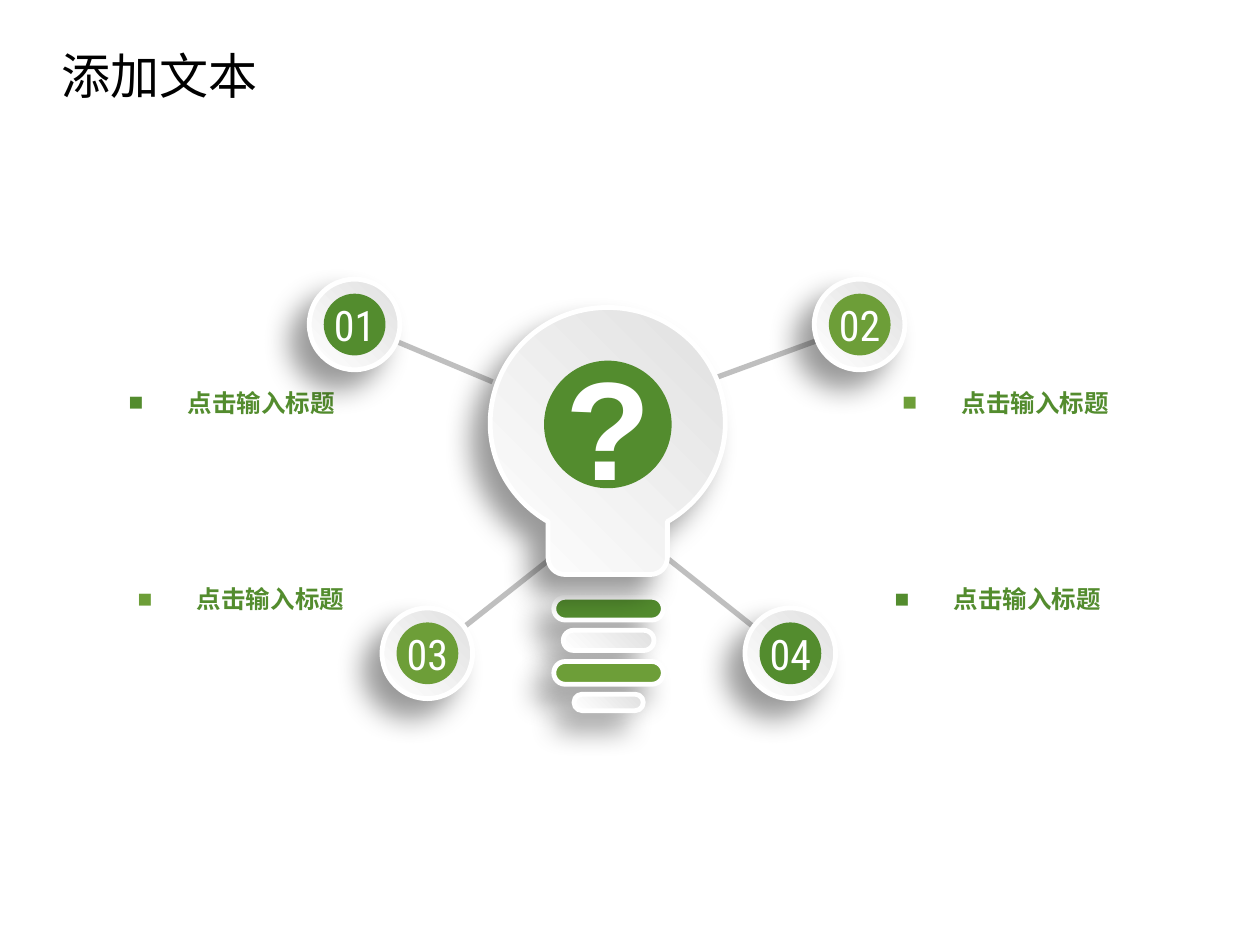
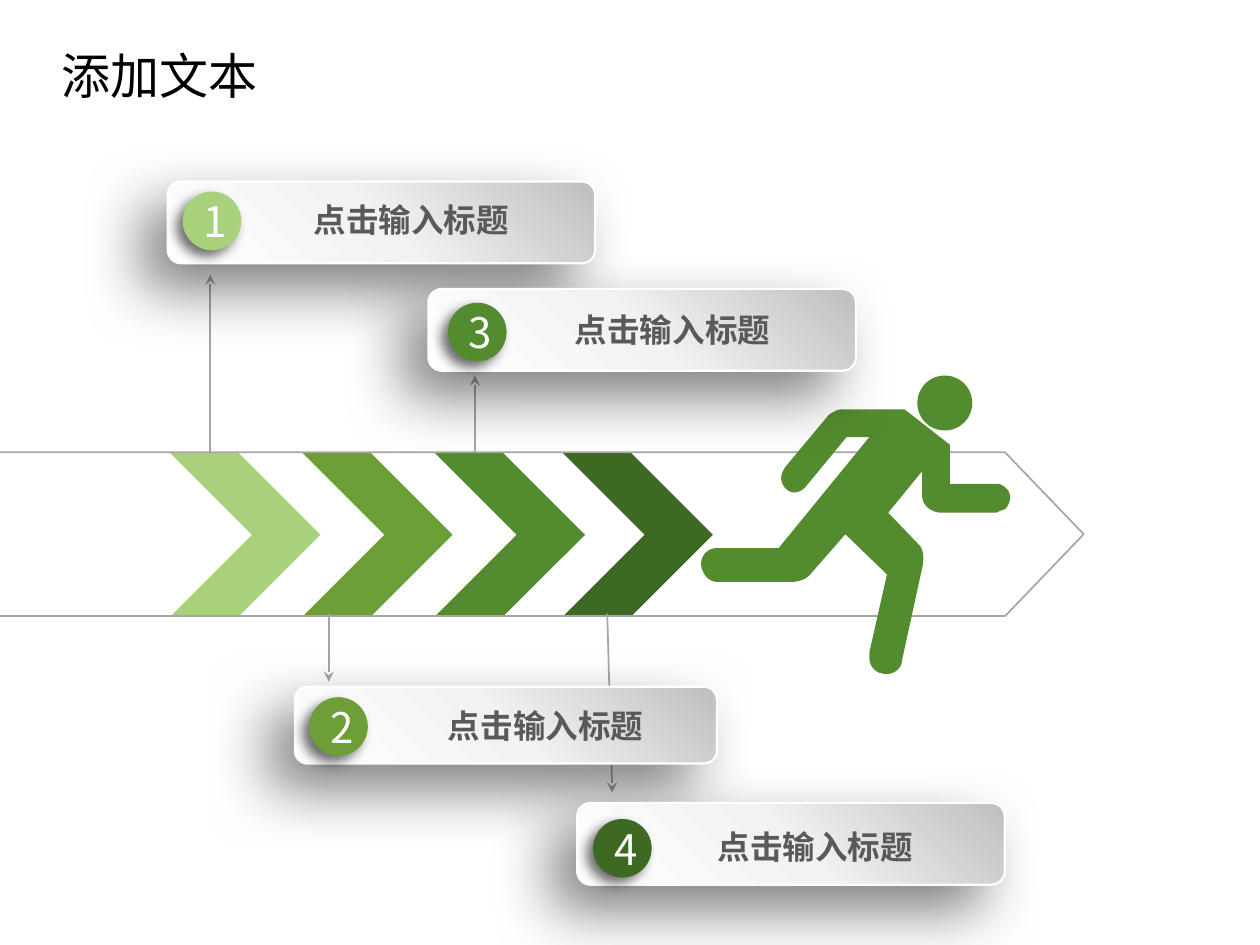
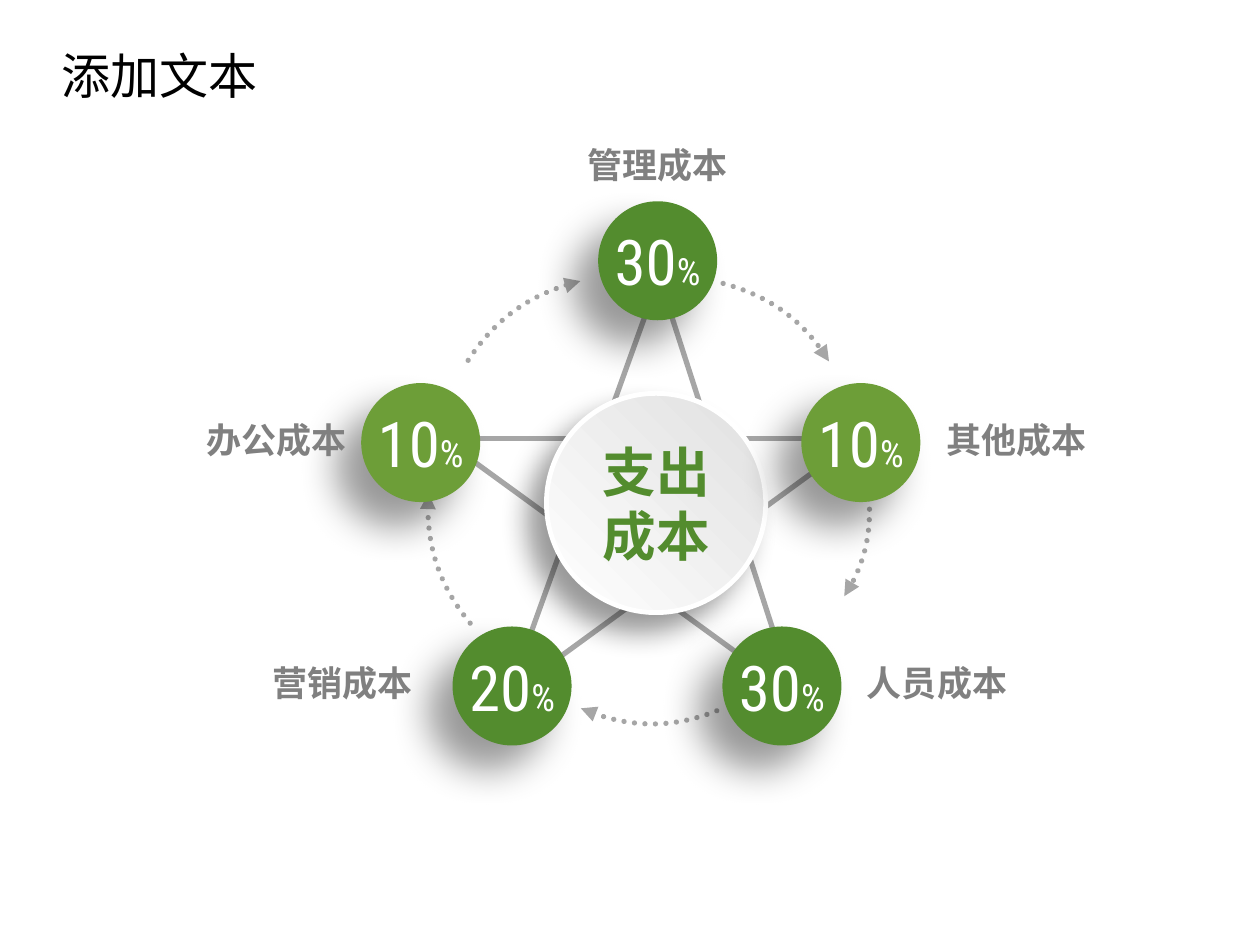
from copy import deepcopy
from math import cos, radians, sin

from lxml.etree import SubElement
from pptx import Presentation
from pptx.dml.color import RGBColor as RGB
from pptx.enum.dml import MSO_LINE as Dash
from pptx.enum.shapes import MSO_CONNECTOR as Link, MSO_SHAPE as Kind
from pptx.enum.text import MSO_ANCHOR as Anchor, PP_ALIGN as Align
from pptx.oxml.ns import qn
from pptx.util import Pt

# Shared colours and fonts
BLACK, WHITE = RGB(0, 0, 0), RGB(255, 255, 255)
PALE, LIGHT = RGB(0xA8, 0xD1, 0x7C), RGB(0x6D, 0x9E, 0x38)
GREEN, DARK = RGB(0x53, 0x8C, 0x2E), RGB(0x3E, 0x69, 0x23)
INK, GRAY = RGB(0x59, 0x59, 0x59), RGB(0x80, 0x80, 0x80)
MID, SOFT = RGB(0xA6, 0xA6, 0xA6), RGB(0xBF, 0xBF, 0xBF)
MIST, FOG = RGB(0xF2, 0xF2, 0xF2), RGB(0xE0, 0xE0, 0xE0)
SANS, ARIAL, SLIM = "Noto Sans CJK SC", "Arial", "Roboto Condensed"

# Shared effects: gradient (angle, stops); shadow (opacity, blur, distance)
PEARL = (225, [(0, FOG), (1, WHITE)])
STEEL = (45, [(0, WHITE), (0.5, MIST), (1, SOFT)])
DEEP, WIDE, NEAR, FAR = (40, 16, 14), (50, 35, 20), (57, 7, 5), (40, 22, 20)
CAPTION = "点击输入标题"


def text(shape, words, size=14, font=SANS, color=BLACK, bold=False,
         align=Align.LEFT, anchor=Anchor.TOP, pad=(7.2, 3.6), wrap=True,
         lead=None, unit=None, bullet=None):
    """Set the words; unit is a (text, size) run that ends each paragraph."""
    frame = shape.text_frame
    frame.word_wrap = wrap
    frame.vertical_anchor = anchor
    frame.margin_left = frame.margin_right = Pt(pad[0])
    frame.margin_top = frame.margin_bottom = Pt(pad[1])
    for i, part in enumerate(words.split("\n")):
        para = frame.add_paragraph() if i else frame.paragraphs[0]
        para.alignment = align
        if lead:
            para.line_spacing = lead
        for word, pts in [(part, size)] + ([unit] if unit else []):
            run = para.add_run()
            run.text = word
            face = run.font
            face.size, face.bold, face.name = Pt(pts), bold, font
            face.color.rgb = color
            SubElement(run._r.get_or_add_rPr(), qn("a:ea"), typeface=SANS)
        if bullet:
            props = para._p.get_or_add_pPr()
            props.set("marL", str(Pt(33.8)))
            props.set("indent", str(Pt(-33.8)))
            tint = SubElement(props, qn("a:buClr"))
            SubElement(tint, qn("a:srgbClr"), val=str(bullet))
            SubElement(props, qn("a:buFont"), typeface=ARIAL)
            SubElement(props, qn("a:buChar"), char="■")
    return shape


def style(shape, fill=None, line=None, width=1, shade=None):
    """Fill with a colour or gradient, then set the outline and shadow."""
    if fill is None:
        shape.fill.background()
    elif isinstance(fill, RGB):
        shape.fill.solid()
        shape.fill.fore_color.rgb = fill
    else:
        angle, stops = fill
        shape.fill.gradient()
        shape.fill.gradient_angle = angle
        ramp = shape.element.spPr.find(".//" + qn("a:gsLst"))
        while len(ramp) < len(stops):
            ramp.append(deepcopy(ramp[0]))
        for stop, (place, color) in zip(shape.fill.gradient_stops, stops):
            stop.position, stop.color.rgb = place, color
    if line is None:
        shape.line.fill.background()
    else:
        shape.line.color.rgb, shape.line.width = line, Pt(width)
    shape.shadow.inherit = False
    if shade:
        alpha, blur, dist = shade
        effects = shape.element.spPr.find(qn("a:effectLst"))
        cast = SubElement(effects, qn("a:outerShdw"), blurRad=str(Pt(blur)),
                          dist=str(Pt(dist)), dir=str(135 * 60000),
                          algn="tr", rotWithShape="0")
        color = SubElement(cast, qn("a:srgbClr"), val="000000")
        SubElement(color, qn("a:alpha"), val=str(alpha * 1000))
    return shape


def form(slide, kind, x, y, w, h, adj=None, **look):
    shape = slide.shapes.add_shape(kind, Pt(x), Pt(y), Pt(w), Pt(h))
    if adj is not None:
        shape.adjustments[0] = adj
    return style(shape, **look)


def disc(slide, x, y, size, fill, **look):
    return form(slide, Kind.OVAL, x, y, size, size, fill=fill, **look)


def note(slide, x, y, w, h, words, **look):
    return text(slide.shapes.add_textbox(Pt(x), Pt(y), Pt(w), Pt(h)),
                words, **look)


def line(slide, start, end, color, width, head=None):
    ends = [Pt(v) for v in (*start, *end)]
    link = slide.shapes.add_connector(Link.STRAIGHT, *ends)
    link.line.color.rgb, link.line.width = color, Pt(width)
    props = link.element.spPr
    if head:
        SubElement(props.find(qn("a:ln")), qn("a:headEnd"), type=head)
    SubElement(props, qn("a:effectLst"))


def pairs(part):
    return list(zip(part[::2], part[1::2]))


def free(slide, x, y, route, **look):
    """Draw a closed outline of points and (control, control, end) curves."""
    first, *rest = [(Pt(x + p[-2]), Pt(y + p[-1])) for p in route]
    pen = slide.shapes.build_freeform(*first)
    pen.add_line_segments(rest, close=True)
    shape = pen.convert_to_shape()
    trail = shape.element.spPr.find(".//" + qn("a:path"))
    for node, part in zip(list(trail)[1:], route[1:]):
        if len(part) == 6:
            bend = SubElement(trail, qn("a:cubicBezTo"))
            for a, b in pairs(part):
                SubElement(bend, qn("a:pt"), x=str(Pt(x + a) - shape.left),
                           y=str(Pt(y + b) - shape.top))
            trail.replace(node, bend)
    return style(shape, **look)


def begin(deck):
    """Add a slide with the shared title."""
    slide = deck.slides.add_slide(deck.slide_layouts[5])
    title = slide.shapes.title
    title.left, title.top, title.width, title.height = map(
        Pt, (28, 22.3, 127.5, 41))
    text(title, "添加文本", size=28, wrap=False)
    return slide


# Slide 1: light bulb with four ideas
GLASS = [(67.2, 0), (104.6, 0, 134.4, 29.5, 134.4, 66.2),
         (134.4, 90, 121, 111, 101.3, 122.4), (101.3, 142.6),
         (101.3, 148.3, 97.2, 152.6, 91.4, 152.6), (43, 152.6),
         (37.2, 152.6, 33.1, 148.3, 33.1, 142.6), (33.1, 122.4),
         (13.4, 111, 0, 90, 0, 66.2), (0, 29.5, 29.8, 0, 67.2, 0)]
IDEAS = [  # number, colour, badge, caption, link
    ("01", GREEN, (176.7, 159.5), (59.8, 218.2),
     ((223.2, 193.7), (281.5, 218.2))),
    ("02", LIGHT, (465.3, 159.5), (502, 218.2),
     ((469.4, 193.7), (402.5, 218.2))),
    ("03", LIGHT, (218.3, 347.4), (65, 330.5),
     ((262.1, 360.7), (316.8, 317.5))),
    ("04", GREEN, (425.7, 347.4), (497.5, 330.5),
     ((432, 359.3), (379.4, 317.5))),
]
RIM = dict(line=WHITE, width=2.75, shade=DEEP)


def badge(slide, x, y, number, color):
    disc(slide, x, y, 51.8, PEARL, **RIM)
    text(disc(slide, x + 8.3, y + 8.3, 35.3, color), number, size=24,
         font=SLIM, color=WHITE, align=Align.CENTER, anchor=Anchor.MIDDLE,
         pad=(0, 0))


def bulb(slide, x, y):
    mid = GLASS[0][0]
    # Screw base
    for top, w, h, fill in [(165.6, 62.6, 13, GREEN), (184.5, 51.8, 11.5, PEARL),
                            (202.3, 62.6, 13, LIGHT), (221, 39.6, 9.4, PEARL)]:
        form(slide, Kind.ROUNDED_RECTANGLE, x + mid + 0.5 - w / 2, y + top,
             w, h, adj=0.5, fill=fill, **RIM)
    # Glass and its mark
    free(slide, x, y, GLASS, fill=PEARL, **RIM)
    mark = disc(slide, x + mid - 36.4, y + 30.4, 72.9, GREEN)
    text(mark, "?", size=80, font=ARIAL, color=WHITE, bold=True,
         align=Align.CENTER, anchor=Anchor.MIDDLE, pad=(0, 0))


def ideas(slide):
    for *_, ends in IDEAS:
        line(slide, *ends, SOFT, 3)
    for number, color, place, words, _ in IDEAS:
        note(slide, *words, 150.5, 23, CAPTION, font=ARIAL, color=GREEN,
             bold=True, pad=(13.7, 0), lead=1.2, bullet=color)
        badge(slide, *place, number, color)
    bulb(slide, 280.1, 175.7)


# Slide 2: runner on a track with four steps
BODY = [
    (9.4, 79.2), (45.4, 79.2), (97.2, 15.8), (84.2, 15.8), (60.5, 44.6),
    (59, 46.1, 56.9, 47.5, 54, 47.5), (50.4, 47.5, 46.8, 43.2, 46.8, 39.6),
    (46.8, 36.7, 48.2, 34.6, 49, 33.1), (74.2, 2.9),
    (77, 1.4, 78.5, 0, 80.6, 0), (117.4, 0), (143.3, 20.2), (143.3, 42.5),
    (169.9, 42.5), (172.1, 42.5, 173.5, 43.2, 175, 44.6),
    (178.6, 47.5, 178.6, 52.6, 175, 56.9),
    (173.5, 57.6, 172.1, 57.6, 169.9, 59), (137.5, 59),
    (127.4, 57.6, 127.4, 49.7, 127.4, 49.7), (127.4, 35.3), (108, 59),
    (126, 77.8), (126, 77.8, 129.6, 81.4, 127.4, 90.7), (115.9, 143.3),
    (115.9, 148.3, 110.9, 151.2, 107.3, 151.2),
    (100.8, 151.2, 97.2, 146.9, 97.2, 141.8), (97.2, 139), (107.3, 94.3),
    (83.5, 71.3), (63.4, 94.3), (63.4, 94.3, 60.5, 98.6, 51.8, 98.6),
    (10.1, 98.6), (6.5, 98.6, 2.9, 95.8, 1.4, 90.7),
    (0, 85.7, 2.9, 79.9, 9.4, 79.2)]
STEPS = [  # number, colour, card, disc offset, caption offset
    ("1", PALE, (95.8, 103.7, 244.4, 46.8), (8.6, 5.8), (67.2, 10.8)),
    ("3", GREEN, (244.8, 165.1, 244.4, 46.8), (11.2, 7.9), (67.5, 12.2)),
    ("2", LIGHT, (168.5, 392.4, 241.2, 43.9), (8.2, 6), (71.3, 10.8)),
    ("4", DARK, (329.8, 458.8, 244.4, 46.8), (9.1, 9.2), (64.2, 13.5)),
]
ARROWS = [((271.4, 214.6), (271.4, 258.5)), ((120.2, 157), (120.2, 258.5)),
          ((349.9, 452.9), (347, 350.6)), ((187.9, 389.5), (187.9, 350.6))]


def track(slide, x, y, w, h):
    for left, color in [(98.1, PALE), (173.7, LIGHT), (249.3, GREEN),
                        (322.4, DARK)]:
        form(slide, Kind.CHEVRON, x + left, y + 0.5, 85.7, h - 0.4,
             adj=0.544, fill=color)
    for tip, root in ARROWS:
        line(slide, tip, root, MID, 1, head="stealth")
    form(slide, Kind.PENTAGON, x, y, w, h, adj=0.48, line=MID)


def runner(slide, x, y):
    disc(slide, x + 124.6, y - 19.4, 31.4, GREEN)
    free(slide, x, y, BODY, fill=GREEN)


def card(slide, x, y, w, h, number, color, spot, words):
    form(slide, Kind.ROUNDED_RECTANGLE, x, y, w, h, fill=STEEL, line=WHITE,
         width=1.25, shade=WIDE)
    ball = disc(slide, x + spot[0], y + spot[1], 33.5, color, shade=NEAR)
    text(ball, number, size=24, color=WHITE, align=Align.CENTER,
         anchor=Anchor.MIDDLE)
    note(slide, x + words[0], y + words[1], 144, 22.5, CAPTION, size=18.6,
         color=INK, bold=True, align=Align.CENTER, pad=(0, 0))


def race(slide):
    track(slide, -0.7, 258.5, 620, 93.6)
    runner(slide, 399.6, 234)
    for number, color, box, spot, words in STEPS:
        card(slide, *box, number, color, spot, words)


# Slide 3: star of costs
TIPS = [(170, 43.2), (284.4, 135.4), (247, 281.5), (84.2, 281.5),
        (46.1, 135.4)]
ARCS = [  # turn, centre of the frame, wedge: start, curve, point
    (64.1, (260.3, 180), [(288.8, 157.7), (292.4, 183.6, 288, 207.4,
                                           275.8, 225.4), (207.4, 152.6)]),
    (136.4, (164.9, 262.1), [(203, 291.6), (177.8, 301.7, 149.8, 301,
                                            125.3, 290.2), (167.1, 195.1)]),
    (207.1, (77.1, 195.1), [(61.2, 240.5), (44, 219.6, 35.3, 193,
                                            37.4, 166.3), (141.2, 174.2)]),
    (279.4, (109.5, 91.1), [(61.2, 90.7), (76.3, 67.7, 98.6, 51.8,
                                           125.3, 45.4), (149.1, 146.2)]),
    (353.8, (218.9, 90), [(206.6, 46.8), (232.6, 54, 254.2, 69.8,
                                          267.1, 91.4), (175.7, 139)]),
]
COSTS = [  # name, value, colour, disc, label, alignment
    ("管理成本", "30", GREEN, (135.2, -0.2), (108.7, -38), Align.CENTER),
    ("其他成本", "10", LIGHT, (251.3, 103.7), (323.3, 118.8), Align.LEFT),
    ("人员成本", "30", GREEN, (206.2, 242.8), (278, 258), Align.LEFT),
    ("营销成本", "20", GREEN, (52, 242.8), (-81.1, 258), Align.RIGHT),
    ("办公成本", "10", LIGHT, (-0.2, 103.7), (-118.8, 118.8), Align.RIGHT),
]


def spin(part, mid, turn):
    """Turn every point of a route part about mid, in degrees."""
    c, s = cos(radians(turn)), sin(radians(turn))
    out = []
    for a, b in pairs(part):
        a, b = a - mid[0], b - mid[1]
        out += [mid[0] + a * c - b * s, mid[1] + a * s + b * c]
    return out


def arc(slide, x, y, turn, mid, wedge):
    shape = free(slide, x, y, [spin(part, mid, -turn) for part in wedge],
                 line=MID, width=3)
    shape.rotation = turn
    # Only the curved side of the wedge carries the line
    trail = shape.element.spPr.find(".//" + qn("a:path"))
    rim = deepcopy(trail)
    for node in list(rim)[2:]:
        rim.remove(node)
    rim.set("fill", "none")
    trail.set("stroke", "0")
    trail.addprevious(rim)
    shape.line.dash_style = Dash.ROUND_DOT
    edge = shape.element.spPr.find(qn("a:ln"))
    edge.set("cap", "rnd")
    SubElement(edge, qn("a:tailEnd"), type="triangle")


def star(slide, x, y):
    spots = [(x + a, y + b) for a, b in TIPS]
    for i, spot in enumerate(spots):
        line(slide, spot, spots[(i + 2) % 5], MID, 3)
    for turn, mid, wedge in ARCS:
        arc(slide, x, y, turn, mid, wedge)
    inner = dict(align=Align.CENTER, anchor=Anchor.MIDDLE, pad=(0, 5),
                 wrap=False)
    hub = disc(slide, x + 105.7, y + 109.6, 125.3, PEARL, **RIM)
    text(hub, "支出\n成本", size=30.6, font=ARIAL, color=GREEN, bold=True,
         **inner)
    for name, value, color, (a, b), (c, d), align in COSTS:
        ball = disc(slide, x + a, y + b, 68, color, shade=FAR)
        text(ball, value, size=36, font=SLIM, color=WHITE, unit=("%", 21.4),
             **inner)
        note(slide, x + c, y + d, 121, 35.3, name, size=20, font=ARIAL,
             color=GRAY, bold=True, align=align, pad=(10.8, 5))


def main():
    deck = Presentation()
    deck.slide_width, deck.slide_height = Pt(720), Pt(540)
    ideas(begin(deck))
    race(begin(deck))
    star(begin(deck), 206.6, 115.2)
    deck.save("out.pptx")


if __name__ == "__main__":
    main()
